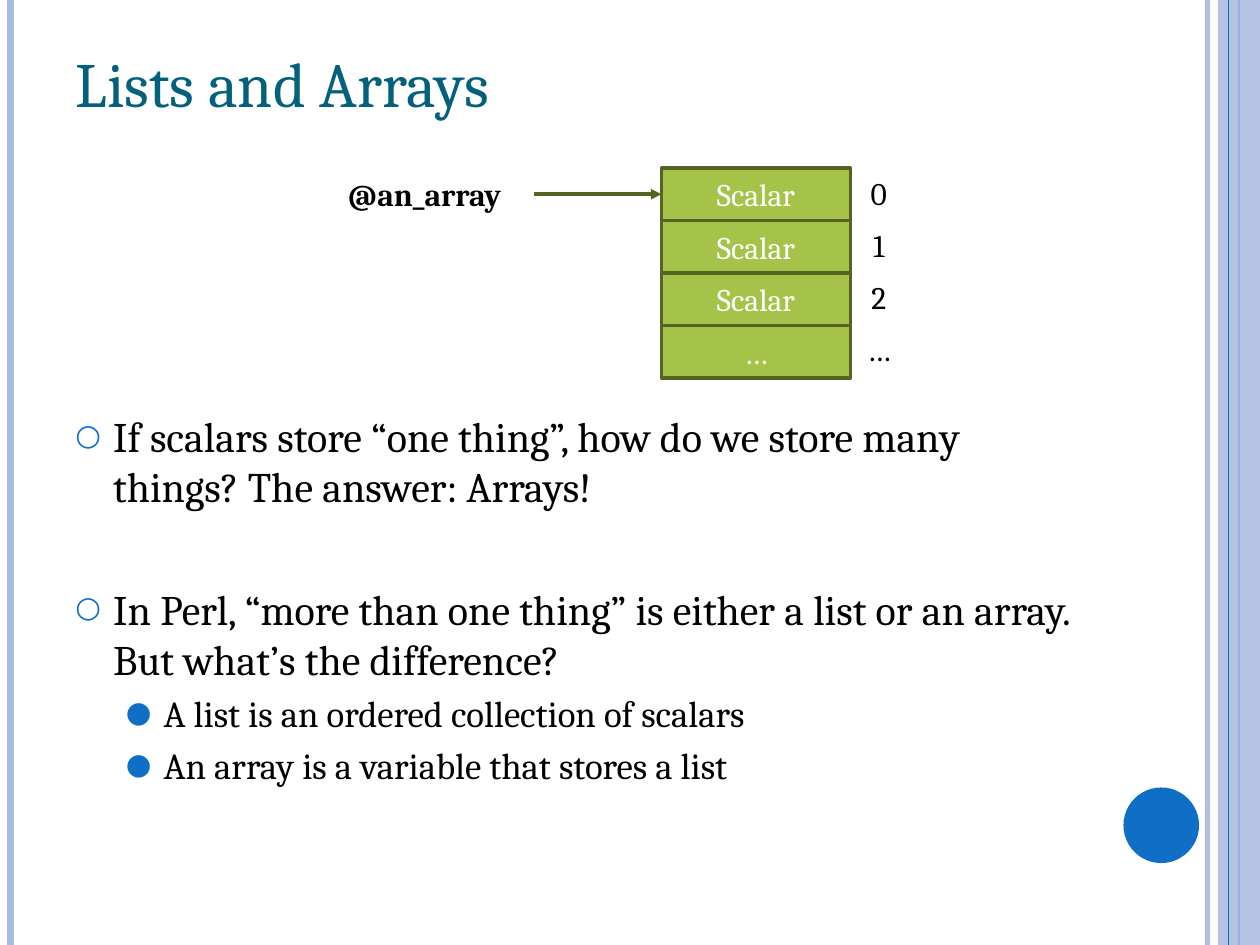
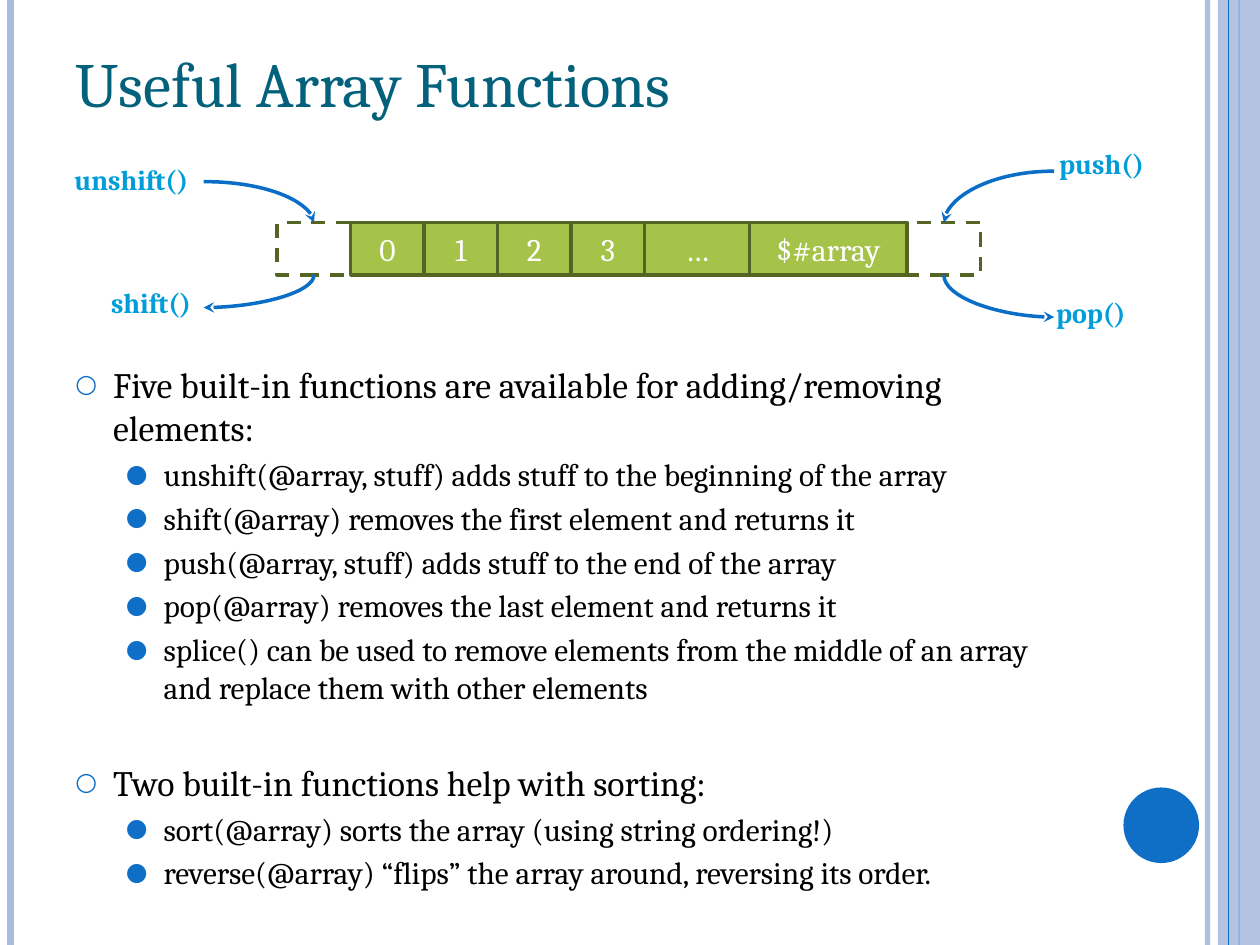
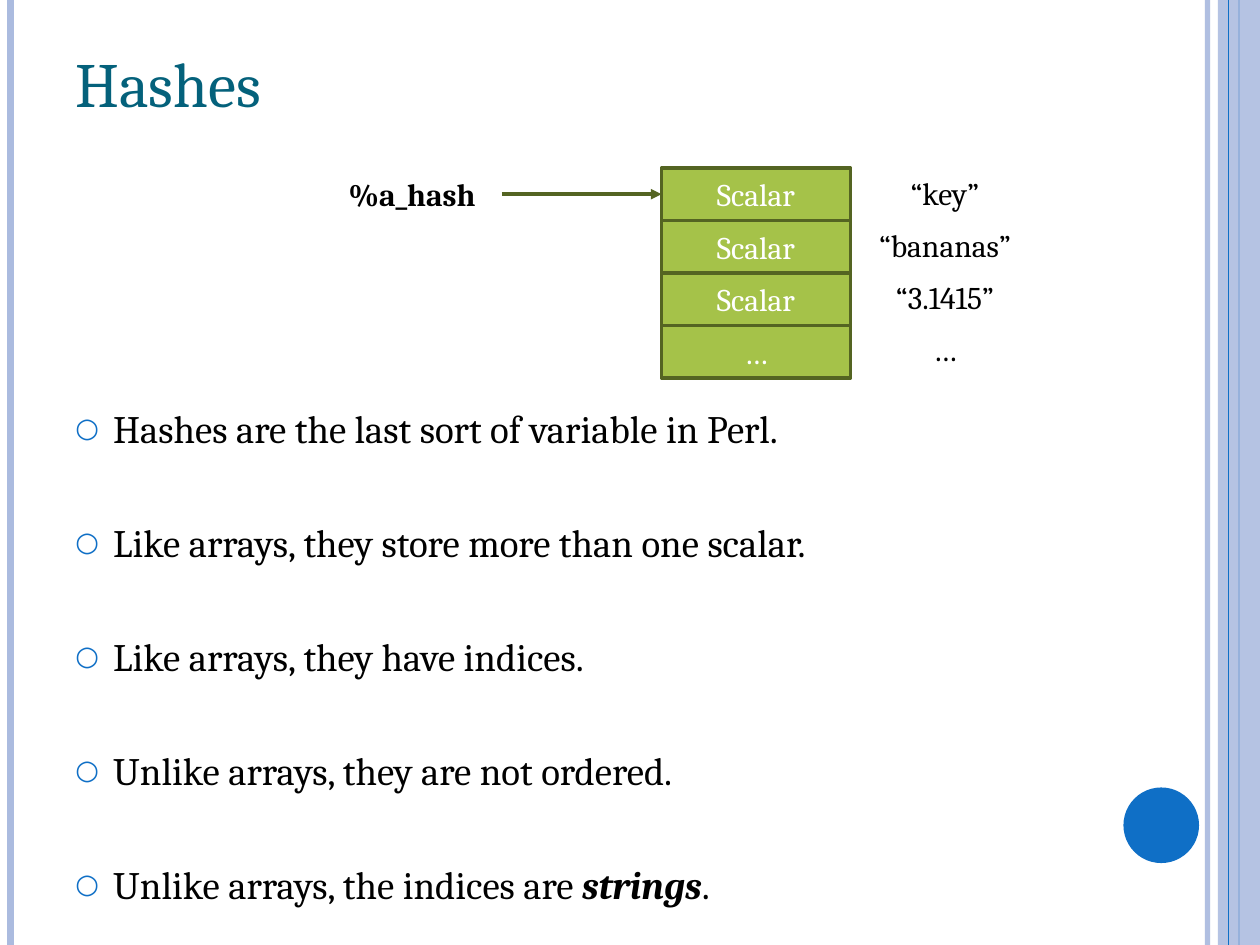
from dataclasses import dataclass

import pptx
import pptx.dml.color
import pptx.enum.dml
import pptx.enum.shapes
import pptx.enum.text
import pptx.oxml.ns
import pptx.presentation
import pptx.shapes.autoshape
import pptx.shapes.connector
import pptx.slide
import pptx.text.text
import pptx.util
from lxml import etree

EMU_PER_PX = 7620  # 120 px to the inch
PAGE_W, PAGE_H = 1200, 900
TITLE_ONLY = 5
TOP, LEFT, BOTTOM, RIGHT = range(4)


@dataclass(frozen=True)
class Theme:
    font: str = "Cambria"
    title: str = "04617B"
    ink: str = "000000"
    accent: str = "0F6FC6"
    band: str = "ABBBDF"
    cell: str = "A5C249"
    cell_edge: str = "546422"
    cell_ink: str = "FFFFFF"
    curve: str = "0A6DC6"
    call: str = "009DD9"
    title_pt: float = 36
    diagram_pt: float = 18
    call_pt: float = 16
    stroke_pt: float = 2


THEME = Theme()


@dataclass(frozen=True)
class Box:
    x: int
    y: int
    w: int
    h: int

    def emu(self) -> tuple[pptx.util.Emu, ...]:
        return tuple(px(v) for v in (self.x, self.y, self.w, self.h))


@dataclass(frozen=True)
class Words:
    text: str
    strong: bool = False


@dataclass(frozen=True)
class Bullet:
    words: tuple[Words, ...]
    level: int = 0


@dataclass(frozen=True)
class Body:
    box: Box
    sizes: tuple[float, float]
    topic_gap: float
    bullets: tuple[Bullet, ...]
    headroom: int = 6


@dataclass(frozen=True)
class BulletStyle:
    sign: str
    percent: int
    margin: int


@dataclass(frozen=True)
class Rule:
    x: int
    color: str
    width: float
    opacity: int = 100


@dataclass(frozen=True)
class Call:
    """A function name and the curve between it and an end slot."""
    name: str
    box: Box
    curve_start: tuple[int, int]
    slot: int
    side: int
    removes: bool


BULLET_STYLES = (BulletStyle("○", 70, 36), BulletStyle("●", 80, 84))
HANGING = 36

RULES_BEHIND = (Rule(1150, THEME.band, 3, 93), Rule(10, THEME.band, 4.5),
                Rule(1180, THEME.accent, 1.5))
RULE_FRONT = Rule(1170, THEME.accent, 0.75)
SIDE_BAND = Box(1160, 0, 40, PAGE_H)
DISC = Box(1070, 750, 72, 72)
TITLE_BOX = Box(60, 36, 980, 150)

CELL_H = 50
STACK_X, STACK_Y, STACK_W = 630, 160, 180
STACK = ("Scalar", "Scalar", "Scalar", "…")
ROW_X, ROW_Y, SLOT_W = 334, 212, 70
ROW = (("0", 70), ("1", 70), ("2", 70), ("3", 70), ("…", 100), ("$#array", 150))

CALLS = (
    Call("shift()", Box(94, 266, 109, 44), (194, 293), 0, BOTTOM, True),
    Call("unshift()", Box(59, 149, 146, 44), (194, 173), 0, TOP, False),
    Call("push()", Box(997, 134, 114, 44), (1004, 163), 1, TOP, False),
    Call("pop()", Box(994, 276, 97, 44), (1004, 302), 1, BOTTOM, True),
)


def topic(text: str) -> Bullet:
    return Bullet((Words(text),))


def detail(text: str) -> Bullet:
    return Bullet((Words(text),), 1)


ARRAYS_BODY = Body(
    Box(60, 210, 980, 640), (24, 21), 41,
    (
        topic("If scalars store “one thing”, how do we store many things? The answer: Arrays!"),
        topic("In Perl, “more than one thing” is either a list or an array. But what’s the difference?"),
        detail("A list is an ordered collection of scalars"),
        detail("An array is a variable that stores a list"),
    ),
    headroom=181,
)
FUNCTIONS_BODY = Body(
    Box(60, 340, 980, 510), (20.4, 17.9), 31.5,
    (
        topic("Five built-in functions are available for adding/removing elements:"),
        detail("unshift(@array, stuff) adds stuff to the beginning of the array"),
        detail("shift(@array) removes the first element and returns it"),
        detail("push(@array, stuff) adds stuff to the end of the array"),
        detail("pop(@array) removes the last element and returns it"),
        detail("splice() can be used to remove elements from the middle of an array "
               "and replace them with other elements"),
        topic("Two built-in functions help with sorting:"),
        detail("sort(@array) sorts the array (using string ordering!)"),
        detail("reverse(@array) “flips” the array around, reversing its order."),
    ),
)
HASHES_BODY = Body(
    Box(60, 380, 980, 470), (22.2, 18), 38.5,
    (
        topic("Hashes are the last sort of variable in Perl."),
        topic("Like arrays, they store more than one scalar."),
        topic("Like arrays, they have indices."),
        topic("Unlike arrays, they are not ordered."),
        Bullet((Words("Unlike arrays, the indices are "), Words("strings", True), Words("."))),
    ),
)


def px(length: int) -> pptx.util.Emu:
    return pptx.util.Emu(length * EMU_PER_PX)


def rgb(color: str) -> pptx.dml.color.RGBColor:
    return pptx.dml.color.RGBColor.from_string(color)


def add_xml(parent: etree._Element, tag: str, **attributes: str) -> etree._Element:
    child = etree.SubElement(parent, pptx.oxml.ns.qn(tag))
    for key, value in attributes.items():
        child.set(key, value)
    return child


def set_opacity(element: etree._Element, percent: int) -> None:
    for color in element.spPr.iter(pptx.oxml.ns.qn("a:srgbClr")):
        add_xml(color, "a:alpha", val=str(percent * 1000))


def add_run(paragraph: pptx.text.text._Paragraph, text: str, size: float, color: str,
            bold: bool = False, italic: bool = False) -> None:
    run = paragraph.add_run()
    run.text = text
    run.font.name = THEME.font
    run.font.size = pptx.util.Pt(size)
    run.font.color.rgb = rgb(color)
    run.font.bold = bold
    run.font.italic = italic


def add_filled(slide: pptx.slide.Slide, kind: pptx.enum.shapes.MSO_SHAPE, box: Box,
               color: str | None) -> pptx.shapes.autoshape.Shape:
    """Add a preset shape with no outline; a colour of None leaves it empty."""
    shape = slide.shapes.add_shape(kind, *box.emu())
    shape.shadow.inherit = False
    if color is None:
        shape.fill.background()
    else:
        shape.fill.solid()
        shape.fill.fore_color.rgb = rgb(color)
    shape.line.fill.background()
    return shape


def add_line(slide: pptx.slide.Slide, start: tuple[int, int], end: tuple[int, int],
             color: str, width: float,
             kind: pptx.enum.shapes.MSO_CONNECTOR = pptx.enum.shapes.MSO_CONNECTOR.STRAIGHT,
             ) -> pptx.shapes.connector.Connector:
    line = slide.shapes.add_connector(kind, *(px(v) for v in start + end))
    line.line.color.rgb = rgb(color)
    line.line.width = pptx.util.Pt(width)
    add_xml(line.element.spPr, "a:effectLst")
    return line


def add_arrowhead(line: pptx.shapes.connector.Connector, end: str, kind: str) -> None:
    add_xml(line.line._get_or_add_ln(), end, type=kind)


def add_rule(slide: pptx.slide.Slide, rule: Rule) -> None:
    line = add_line(slide, (rule.x, 0), (rule.x, PAGE_H), rule.color, rule.width)
    if rule.opacity < 100:
        set_opacity(line.element, rule.opacity)


def add_cell(slide: pptx.slide.Slide, box: Box, text: str) -> pptx.shapes.autoshape.Shape:
    """Add one array cell; without text it is an empty dashed slot."""
    cell = add_filled(slide, pptx.enum.shapes.MSO_SHAPE.RECTANGLE, box,
                      THEME.cell if text else None)
    cell.line.color.rgb = rgb(THEME.cell_edge)
    cell.line.width = pptx.util.Pt(THEME.stroke_pt)
    if text:
        cell.text_frame.vertical_anchor = pptx.enum.text.MSO_ANCHOR.MIDDLE
        paragraph = cell.text_frame.paragraphs[0]
        paragraph.alignment = pptx.enum.text.PP_ALIGN.CENTER
        add_run(paragraph, text, THEME.diagram_pt, THEME.cell_ink)
    else:
        cell.line.dash_style = pptx.enum.dml.MSO_LINE.DASH
    return cell


def add_label(slide: pptx.slide.Slide, box: Box, text: str, size: float,
              color: str) -> pptx.shapes.autoshape.Shape:
    label = slide.shapes.add_textbox(*box.emu())
    label.text_frame.word_wrap = False
    label.text_frame.auto_size = pptx.enum.text.MSO_AUTO_SIZE.SHAPE_TO_FIT_TEXT
    add_run(label.text_frame.paragraphs[0], text, size, color, bold=True)
    return label


def add_body(slide: pptx.slide.Slide, body: Body) -> None:
    frame = slide.shapes.add_textbox(*body.box.emu()).text_frame
    frame.word_wrap = True
    frame.margin_top = px(body.headroom)
    for number, bullet in enumerate(body.bullets):
        paragraph = frame.add_paragraph() if number else frame.paragraphs[0]
        size = body.sizes[bullet.level]
        style = BULLET_STYLES[bullet.level]
        paragraph.level = bullet.level
        if number:
            gap = size * 0.2 if bullet.level else body.topic_gap
            paragraph.space_before = pptx.util.Pt(gap)
        properties = paragraph._p.get_or_add_pPr()
        properties.set("marL", str(px(style.margin)))
        properties.set("indent", str(px(-HANGING)))
        add_xml(add_xml(properties, "a:buClr"), "a:srgbClr", val=THEME.accent)
        add_xml(properties, "a:buSzPct", val=str(style.percent * 1000))
        add_xml(properties, "a:buFont", typeface=THEME.font)
        add_xml(properties, "a:buChar", char=style.sign)
        for words in bullet.words:
            add_run(paragraph, words.text, size, THEME.ink, words.strong, words.strong)


def add_page(deck: pptx.presentation.Presentation, title: str, body: Body) -> pptx.slide.Slide:
    """Add a slide with the shared bands, its title and its bullets."""
    slide = deck.slides.add_slide(deck.slide_layouts[TITLE_ONLY])
    for rule in RULES_BEHIND:
        add_rule(slide, rule)
    band = add_filled(slide, pptx.enum.shapes.MSO_SHAPE.RECTANGLE, SIDE_BAND, THEME.band)
    set_opacity(band.element, 87)
    add_rule(slide, RULE_FRONT)
    add_filled(slide, pptx.enum.shapes.MSO_SHAPE.OVAL, DISC, THEME.accent)

    heading = slide.shapes.title
    heading.left, heading.top, heading.width, heading.height = TITLE_BOX.emu()
    heading.text_frame.vertical_anchor = pptx.enum.text.MSO_ANCHOR.TOP
    heading.text_frame.auto_size = pptx.enum.text.MSO_AUTO_SIZE.NONE
    paragraph = heading.text_frame.paragraphs[0]
    paragraph.alignment = pptx.enum.text.PP_ALIGN.LEFT
    add_run(paragraph, title, THEME.title_pt, THEME.title)
    add_body(slide, body)
    return slide


def add_stack(slide: pptx.slide.Slide, variable: str, variable_w: int,
              keys: tuple[str, ...], keys_w: int, wrap_keys: bool) -> None:
    """Draw a variable that points at a column of scalars with their keys."""
    name = add_label(slide, Box(320, 161, variable_w, 48), variable,
                     THEME.diagram_pt, THEME.ink)
    cells = [add_cell(slide, Box(STACK_X, STACK_Y + row * CELL_H, STACK_W, CELL_H), text)
             for row, text in enumerate(STACK)]
    middle = STACK_Y + CELL_H // 2
    pointer = add_line(slide, (320 + variable_w, middle), (STACK_X, middle),
                       THEME.cell_edge, THEME.stroke_pt)
    pointer.begin_connect(name, RIGHT)
    pointer.end_connect(cells[0], LEFT)
    add_arrowhead(pointer, "a:tailEnd", "triangle")

    frame = slide.shapes.add_textbox(
        *Box(STACK_X + STACK_W, STACK_Y, keys_w, 198).emu()).text_frame
    frame.word_wrap = wrap_keys
    frame.auto_size = pptx.enum.text.MSO_AUTO_SIZE.SHAPE_TO_FIT_TEXT
    for number, key in enumerate(keys):
        paragraph = frame.add_paragraph() if number else frame.paragraphs[0]
        paragraph.alignment = pptx.enum.text.PP_ALIGN.CENTER
        paragraph.space_after = pptx.util.Pt(8)
        add_run(paragraph, key, THEME.diagram_pt, THEME.ink)


def add_call(slide: pptx.slide.Slide, call: Call,
             slots: list[pptx.shapes.autoshape.Shape], slot_lefts: tuple[int, int]) -> None:
    meeting = (slot_lefts[call.slot] + SLOT_W // 2,
               ROW_Y + (CELL_H if call.side == BOTTOM else 0))
    curve = add_line(slide, call.curve_start, meeting, THEME.curve, THEME.stroke_pt,
                     pptx.enum.shapes.MSO_CONNECTOR.CURVE)
    curve.element.spPr.find(pptx.oxml.ns.qn("a:prstGeom")).set("prst", "curvedConnector2")
    curve.end_connect(slots[call.slot], call.side)
    add_arrowhead(curve, "a:headEnd" if call.removes else "a:tailEnd", "stealth")
    add_label(slide, call.box, call.name, THEME.call_pt, THEME.call)


def add_row(slide: pptx.slide.Slide) -> None:
    """Draw the array as a row with an open slot and two calls at each end."""
    x = ROW_X
    for text, width in ROW:
        add_cell(slide, Box(x, ROW_Y, width, CELL_H), text)
        x += width
    slot_lefts = (ROW_X - SLOT_W, x)
    slots = [add_cell(slide, Box(left, ROW_Y, SLOT_W, CELL_H), "") for left in slot_lefts]
    for call in CALLS:
        add_call(slide, call, slots, slot_lefts)


def main() -> None:
    deck = pptx.Presentation()
    deck.slide_width, deck.slide_height = px(PAGE_W), px(PAGE_H)

    arrays = add_page(deck, "Lists and Arrays", ARRAYS_BODY)
    add_stack(arrays, "@an_array", 189, ("0", "1", "2", "…"), 54, False)

    functions = add_page(deck, "Useful Array Functions", FUNCTIONS_BODY)
    add_row(functions)

    hashes = add_page(deck, "Hashes", HASHES_BODY)
    add_stack(hashes, "%a_hash", 158, ("“key”", "“bananas”", "“3.1415”", "…"), 180, True)

    deck.save("out.pptx")


if __name__ == "__main__":
    main()
